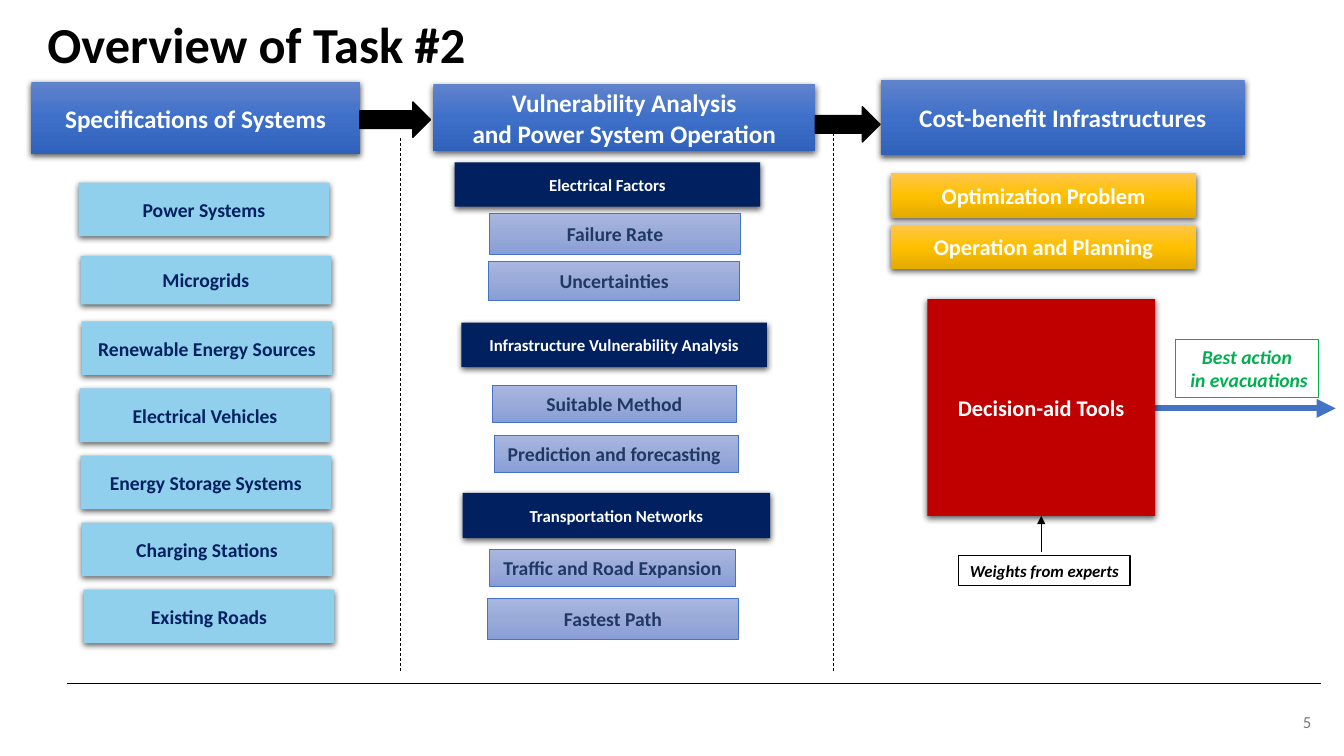
"""Build the Task #2 overview slide: three columns of boxes linked by arrows."""
from pptx import Presentation
from pptx.dml.color import RGBColor
from pptx.enum.dml import MSO_LINE
from pptx.enum.shapes import MSO_CONNECTOR, MSO_SHAPE
from pptx.enum.text import MSO_ANCHOR, PP_ALIGN
from pptx.oxml import parse_xml
from pptx.oxml.ns import nsdecls, qn
from pptx.util import Cm, Pt

TITLE = "Overview of Task #2"
PAGE_NUMBER = "5"
FONT = "Calibri"

STYLES = {
    "header": dict(fill=("6183CB", "3E70CA", "3062BB"), shadow=True, size=18, color="FFFFFF"),
    "system": dict(fill=("90D0EC",), shadow=True, size=14, color="002060"),
    "factor": dict(fill=("002060",), shadow=True, size=12, color="FFFFFF"),
    "detail": dict(fill=("A8B7DF", "9AABD9", "889ED7"), line=("4472C4", 0.5), size=14, color="203864"),
    "problem": dict(fill=("FFC64B", "FFC000", "E3AB00"), shadow=True, size=16, color="FFFFFF"),
    "decision": dict(fill=("C00000",), shadow=True, size=16, color="FFFFFF"),
    "weights": dict(fill=("FFFFFF",), line=("000000", 1), size=12, color="000000", note=True),
    "action": dict(line=("00B050", 0.75), size=14, color="00B050", note=True),
    "arrow": dict(fill=("000000",), line=("000000", 1), shape=MSO_SHAPE.RIGHT_ARROW),
}

BOXES = {
    "header": [
        (["Specifications of Systems"], 0.79, 2.06, 8.28, 1.83),
        (["Vulnerability Analysis", "and Power System Operation"], 10.92, 2.13, 9.63, 1.68),
        (["Cost-benefit Infrastructures"], 22.2, 2.01, 9.17, 1.91),
    ],
    "system": [
        (["Power Systems"], 1.98, 4.6, 6.32, 1.35),
        (["Microgrids"], 2.03, 6.45, 6.32, 1.22),
    ],
    "factor": [
        (["Electrical Factors"], 11.46, 4.09, 7.7, 1.12),
        (["Infrastructure Vulnerability Analysis"], 11.63, 8.13, 7.7, 1.12),
        (["Transportation Networks"], 11.66, 12.42, 7.75, 1.14),
    ],
    "detail": [
        (["Failure Rate"], 12.34, 5.38, 6.32, 1.02),
        (["Uncertainties"], 12.32, 6.58, 6.32, 0.99),
        (["Suitable Method"], 12.4, 9.7, 6.17, 0.94),
        (["Prediction and forecasting "], 12.45, 10.97, 6.17, 0.94),
        (["Traffic and Road Expansion"], 12.34, 13.84, 6.2, 0.94),
        (["Fastest Path"], 12.29, 15.09, 6.32, 1.02),
    ],
    "problem": [
        (["Optimization Problem"], 22.45, 4.37, 7.7, 1.12),
        (["Operation and Planning"], 22.45, 5.66, 7.7, 1.12),
    ],
    "decision": [(["Decision-aid Tools"], 23.37, 7.54, 5.74, 5.46)],
    "weights": [(["Weights from experts"], 24.16, 14, 4.32, 0.76)],
    "action": [(["Best action", " in evacuations"], 29.62, 8.56, 3.61, 1.45)],
    "arrow": [([], 9.07, 2.57, 1.78, 0.89), ([], 20.55, 2.69, 1.63, 0.89)],
}

LOWER_SYSTEMS = [
    ("Renewable Energy Sources", 2.06),
    ("Electrical Vehicles", 2.01),
    ("Energy Storage Systems", 2.03),
    ("Charging Stations", 2.06),
    ("Existing Roads", 2.11),
]
LOWER_TOP, LOWER_PITCH = 8.1, 1.69

LINES = [
    dict(start=(1.68, 17.22), end=(33.3, 17.22)),
    dict(start=(10.08, 3.48), end=(10.08, 16.92), dashed=True),
    dict(start=(21.01, 3.23), end=(21.01, 16.92), dashed=True),
    dict(start=(26.24, 13.92), end=(26.24, 13), head=True),
    dict(start=(29.11, 10.29), end=(33.66, 10.29), color="4472C4", width=4.5, head=True),
]


def rgb(code):
    return RGBColor.from_string(code)


def write(paragraph, text, size, color, align, bold=True, italic=False):
    paragraph.alignment = align
    run = paragraph.add_run()
    run.text = text
    font = run.font
    font.name, font.size, font.bold, font.italic = FONT, Pt(size), bold, italic
    font.color.rgb = rgb(color)


def paint(box, colors):
    if not colors:
        box.fill.background()
    elif len(colors) == 1:
        box.fill.solid()
        box.fill.fore_color.rgb = rgb(colors[0])
    else:
        stops = "".join(
            f'<a:gs pos="{i * 50000}"><a:srgbClr val="{color}"/></a:gs>'
            for i, color in enumerate(colors))
        gradient = parse_xml(
            f'<a:gradFill {nsdecls("a")} rotWithShape="1"><a:gsLst>{stops}</a:gsLst>'
            '<a:lin ang="5400000" scaled="0"/></a:gradFill>')
        box._element.spPr.find(qn("a:prstGeom")).addnext(gradient)


def add_box(slide, lines, left, top, width, height, fill=(), line=None, shadow=False,
            size=12, color="000000", note=False, shape=MSO_SHAPE.RECTANGLE):
    box = slide.shapes.add_shape(shape, Cm(left), Cm(top), Cm(width), Cm(height))
    paint(box, fill)
    if line:
        box.line.color.rgb = rgb(line[0])
        box.line.width = Pt(line[1])
    else:
        box.line.fill.background()
    box.shadow.inherit = False
    if shadow:
        box._element.spPr.find(qn("a:effectLst")).append(parse_xml(
            f'<a:outerShdw {nsdecls("a")} blurRad="57150" dist="19050" dir="5400000" algn="ctr"'
            ' rotWithShape="0"><a:srgbClr val="000000"><a:alpha val="63000"/></a:srgbClr></a:outerShdw>'))
    frame = box.text_frame
    frame.word_wrap = not note
    frame.vertical_anchor = MSO_ANCHOR.TOP if note else MSO_ANCHOR.MIDDLE
    for i, text in enumerate(lines):
        paragraph = frame.add_paragraph() if i else frame.paragraphs[0]
        write(paragraph, text, size, color, PP_ALIGN.CENTER, italic=note)


def add_line(slide, start, end, color="000000", width=0.5, dashed=False, head=False):
    points = [Cm(value) for value in (*start, *end)]
    connector = slide.shapes.add_connector(MSO_CONNECTOR.STRAIGHT, *points)
    connector.line.color.rgb = rgb(color)
    connector.line.width = Pt(width)
    if dashed:
        connector.line.dash_style = MSO_LINE.DASH
    properties = connector._element.spPr
    if head:
        properties.find(qn("a:ln")).append(
            parse_xml(f'<a:tailEnd {nsdecls("a")} type="triangle"/>'))
    properties.append(parse_xml(f'<a:effectLst {nsdecls("a")}/>'))


def main():
    deck = Presentation()
    deck.slide_width, deck.slide_height = Cm(33.87), Cm(19.05)
    slide = deck.slides.add_slide(deck.slide_layouts[5])

    title = slide.shapes.title
    title.left, title.top, title.width, title.height = Cm(0.94), Cm(0.38), Cm(29.21), Cm(2.39)
    title.text_frame.vertical_anchor = MSO_ANCHOR.TOP
    heading = title.text_frame.paragraphs[0]
    heading.line_spacing = 0.9
    write(heading, TITLE, 36, "000000", PP_ALIGN.LEFT)

    for line in LINES:
        add_line(slide, **line)
    for kind, boxes in BOXES.items():
        for lines, *place in boxes:
            add_box(slide, lines, *place, **STYLES[kind])
    for row, (system, left) in enumerate(LOWER_SYSTEMS):
        top = LOWER_TOP + row * LOWER_PITCH
        add_box(slide, [system], left, top, 6.32, 1.35, **STYLES["system"])

    number = slide.shapes.add_textbox(Cm(29.69), Cm(17.68), Cm(3.61), Cm(1.02)).text_frame
    number.word_wrap = True
    number.vertical_anchor = MSO_ANCHOR.MIDDLE
    write(number.paragraphs[0], PAGE_NUMBER, 12, "797979", PP_ALIGN.RIGHT, bold=False)

    deck.save("out.pptx")


if __name__ == "__main__":
    main()
